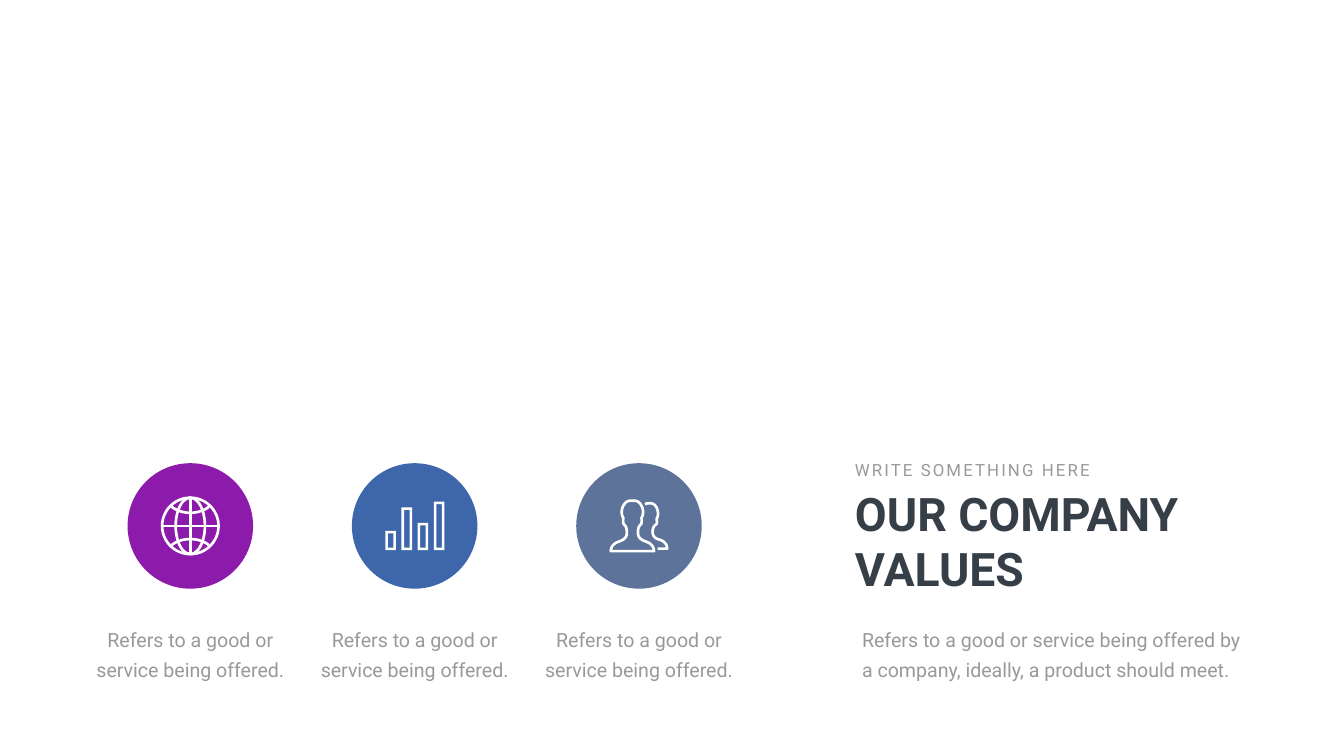
from pptx import Presentation
from pptx.dml.color import RGBColor
from pptx.enum.shapes import MSO_CONNECTOR, MSO_SHAPE
from pptx.enum.text import MSO_ANCHOR, MSO_AUTO_SIZE, PP_ALIGN
from pptx.oxml.ns import qn
from pptx.util import Inches, Pt
from lxml.etree import SubElement

WHITE = RGBColor(0xFF, 0xFF, 0xFF)
PURPLE = RGBColor(0x8C, 0x1B, 0xAB)
BLUE = RGBColor(0x3D, 0x67, 0xAA)
SLATE = RGBColor(0x5D, 0x73, 0x9A)
DARK = RGBColor(0x36, 0x3E, 0x48)
GRAY = RGBColor(0x99, 0x99, 0x99)

FONT = "Roboto"
STROKE = Pt(3.8)
COLUMN_LEFT, COLUMN_PITCH, COLUMN_WIDTH = 1.65, 4.45, 4.25
CIRCLE_TOP, CIRCLE_SIZE = 9.19, 2.49
CIRCLE_CENTER = CIRCLE_TOP + CIRCLE_SIZE / 2
BODY_TOP, BODY_HEIGHT = 12.2, 1.39
HEADING_LEFT = 16.86

FRONT_HALF = [
    (0, -0.5), (0.07, -0.51), (0.14, -0.49), (0.19, -0.38),
    (0.23, -0.29), (0.21, -0.2), (0.18, -0.16),
    (0.19, -0.08), (0.18, -0.05), (0.17, -0.03),
    (0.13, 0), (0.11, 0.04), (0.11, 0.14),
    (0.11, 0.24), (0.19, 0.28), (0.24, 0.3),
    (0.33, 0.33), (0.42, 0.37), (0.43, 0.5),
]
BACK_PERSON = [
    (0.12, -0.43), (0.16, -0.45), (0.19, -0.45), (0.22, -0.45),
    (0.28, -0.45), (0.33, -0.42), (0.36, -0.34),
    (0.39, -0.26), (0.38, -0.18), (0.35, -0.14),
    (0.36, -0.08), (0.36, -0.05), (0.34, -0.03),
    (0.3, 0), (0.27, 0.04), (0.27, 0.12),
    (0.27, 0.22), (0.35, 0.26), (0.4, 0.27),
    (0.49, 0.3), (0.55, 0.34), (0.56, 0.45),
]


def write_text(shape, text, size, color, bold=False, align=PP_ALIGN.LEFT,
               line_spacing=None, letter_spacing=None, wrap=True, margins=(0.1, 0.05)):
    frame = shape.text_frame
    frame.word_wrap = wrap
    frame.auto_size = MSO_AUTO_SIZE.SHAPE_TO_FIT_TEXT
    frame.vertical_anchor = MSO_ANCHOR.TOP
    frame.margin_left = frame.margin_right = Inches(margins[0])
    frame.margin_top = frame.margin_bottom = Inches(margins[1])
    paragraph = frame.paragraphs[0]
    paragraph.alignment = align
    paragraph.space_before = Pt(0)
    if line_spacing:
        paragraph.line_spacing = Pt(line_spacing)
    run = paragraph.add_run()
    run.text = text
    run.font.name = FONT
    run.font.size = Pt(size)
    run.font.bold = bold
    run.font.color.rgb = color
    if letter_spacing:
        run.font._element.set("spc", str(letter_spacing * 100))


def add_body(slide, left, width, text, align):
    box = slide.shapes.add_textbox(
        Inches(left), Inches(BODY_TOP), Inches(width), Inches(BODY_HEIGHT))
    write_text(box, text, 28, GRAY, align=align, line_spacing=43, margins=(0.24, 0.12))


def paint(shape, color):
    shape.shadow.inherit = False
    shape.fill.solid()
    shape.fill.fore_color.rgb = color
    shape.line.fill.background()


def outline(shape):
    shape.shadow.inherit = False
    shape.fill.background()
    shape.line.color.rgb = WHITE
    shape.line.width = STROKE


def add_stroke(shapes, x1, y1, x2, y2):
    connector = shapes.add_connector(
        MSO_CONNECTOR.STRAIGHT, Inches(x1), Inches(y1), Inches(x2), Inches(y2))
    connector.line.color.rgb = WHITE
    connector.line.width = STROKE
    SubElement(connector._element.spPr, qn("a:effectLst"))


def add_path(shapes, center_x, center_y, contours, close=False):
    builder = None
    for points in contours:
        vertices = [(Inches(center_x + x), Inches(center_y + y)) for x, y in points]
        if builder is None:
            builder = shapes.build_freeform(*vertices[0])
        else:
            builder.move_to(*vertices[0])
        builder.add_line_segments(vertices[1:], close=close)
    return builder.convert_to_shape()


def bezier_points(controls, steps=10):
    points = [controls[0]]
    for start in range(0, len(controls) - 1, 3):
        a, b, c, d = controls[start:start + 4]
        for step in range(1, steps + 1):
            t = step / steps
            weights = ((1 - t) ** 3, 3 * t * (1 - t) ** 2, 3 * t * t * (1 - t), t ** 3)
            points.append(tuple(
                sum(weight * value for weight, value in zip(weights, axis))
                for axis in zip(a, b, c, d)))
    return points


def draw_globe(shapes, x, y):
    radius = 0.56
    for half_width in (radius, 0.29):
        oval = shapes.add_shape(
            MSO_SHAPE.OVAL, Inches(x - half_width), Inches(y - radius),
            Inches(2 * half_width), Inches(2 * radius))
        outline(oval)
    add_stroke(shapes, x - radius, y, x + radius, y)
    add_stroke(shapes, x, y - radius, x, y + radius)
    for side in (-1, 1):
        parallel = [(-0.37, 0.38 * side), (-0.17, 0.22 * side),
                    (0.17, 0.22 * side), (0.37, 0.38 * side)]
        outline(add_path(shapes, x, y, [bezier_points(parallel)]))


def draw_bars(shapes, x, y):
    edge, width, bottom = 0.05, 0.21, 0.48
    contours = []
    for index, height in enumerate((0.38, 0.85, 0.54, 0.96)):
        left, top = -0.58 + index * 0.32, bottom - height
        right = left + width
        contours.append([(left, top), (right, top), (right, bottom), (left, bottom)])
        contours.append([(left + edge, top + edge), (left + edge, bottom - edge),
                         (right - edge, bottom - edge), (right - edge, top + edge)])
    paint(add_path(shapes, x, y, contours, close=True), WHITE)


def draw_people(shapes, x, y):
    right = bezier_points(FRONT_HALF)
    left = [(-dx, dy) for dx, dy in reversed(right[1:])]
    outline(add_path(shapes, x - 0.13, y, [right + left], close=True))
    outline(add_path(shapes, x, y, [bezier_points(BACK_PERSON) + [(0.37, 0.45)]]))


def add_value(slide, index, color, draw_icon):
    left = COLUMN_LEFT + index * COLUMN_PITCH
    center = left + COLUMN_WIDTH / 2
    group = slide.shapes.add_group_shape()
    circle = group.shapes.add_shape(
        MSO_SHAPE.OVAL, Inches(center - CIRCLE_SIZE / 2), Inches(CIRCLE_TOP),
        Inches(CIRCLE_SIZE), Inches(CIRCLE_SIZE))
    paint(circle, color)
    draw_icon(group.shapes, center, CIRCLE_CENTER)
    add_body(slide, left, COLUMN_WIDTH,
             "Refers to a good or service being offered.", PP_ALIGN.CENTER)


def add_heading(slide):
    title = slide.shapes.title
    title.left, title.top = Inches(HEADING_LEFT), Inches(9.58)
    title.width, title.height = Inches(7.06), Inches(2.32)
    write_text(title, "OUR COMPANY VALUES", 66, DARK, bold=True)
    subtitle = slide.shapes.add_textbox(
        Inches(HEADING_LEFT), Inches(9.07), Inches(5), Inches(0.5))
    write_text(subtitle, "WRITE SOMETHING HERE", 24, GRAY, letter_spacing=3, wrap=False)


def main():
    presentation = Presentation()
    presentation.slide_width = Inches(26.66)
    presentation.slide_height = Inches(15)
    slide = presentation.slides.add_slide(presentation.slide_layouts[5])
    add_heading(slide)
    values = ((PURPLE, draw_globe), (BLUE, draw_bars), (SLATE, draw_people))
    for index, (color, draw_icon) in enumerate(values):
        add_value(slide, index, color, draw_icon)
    add_body(slide, HEADING_LEFT, 8.14,
             "Refers to a good or service being offered by a company, "
             "ideally, a product should meet.", PP_ALIGN.LEFT)
    presentation.save("out.pptx")


if __name__ == "__main__":
    main()
